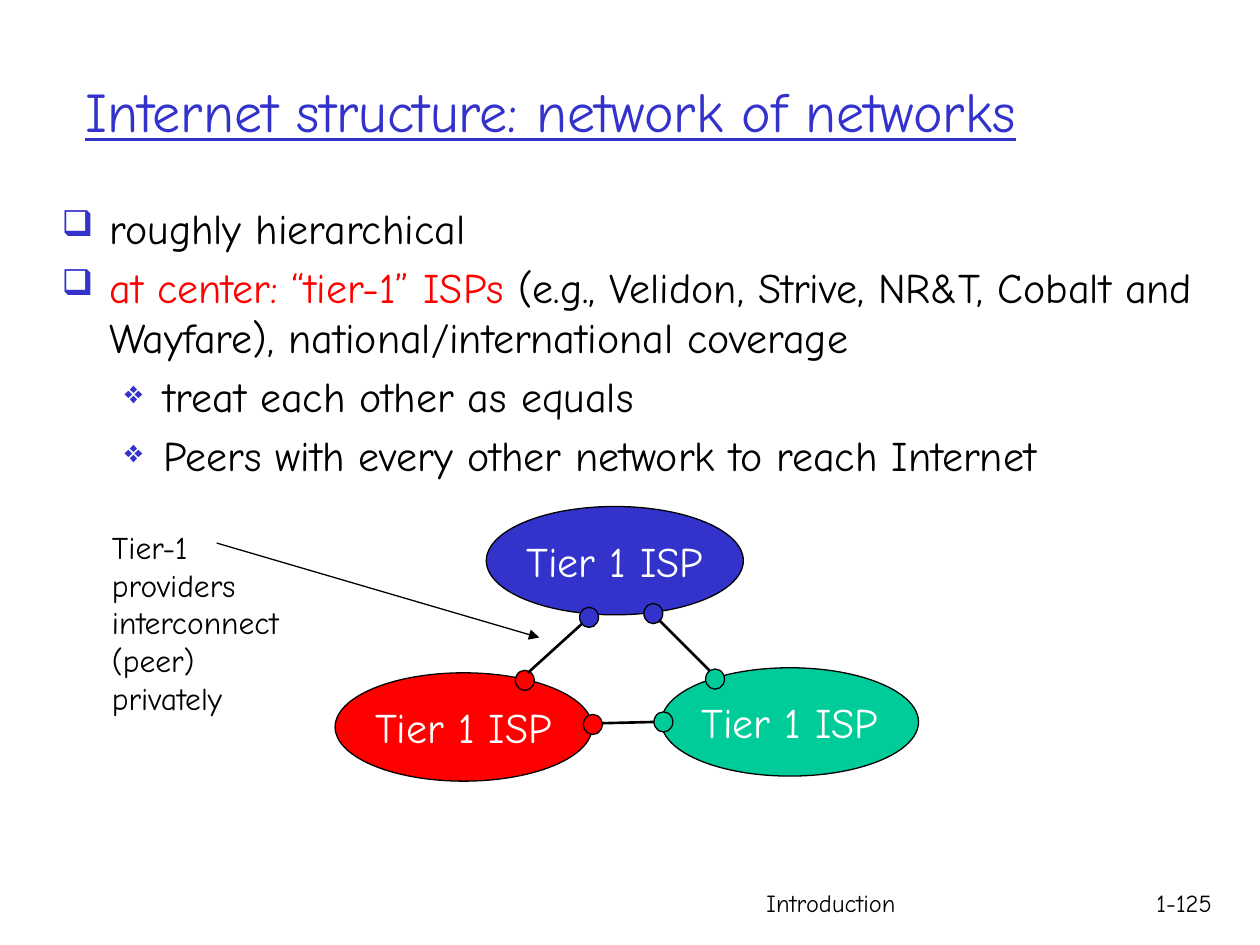
"""Build a slide on how tier-1 providers form a network of networks."""
from lxml import etree
from pptx import Presentation
from pptx import util as u
from pptx.dml.color import RGBColor
from pptx.enum import shapes, text
from pptx.oxml.ns import qn

BLACK = RGBColor(0x00, 0x00, 0x00)
WHITE = RGBColor(0xFF, 0xFF, 0xFF)
BLUE = RGBColor(0x33, 0x33, 0xCC)
RED = RGBColor(0xFF, 0x00, 0x00)
GREEN = RGBColor(0x00, 0xCC, 0x99)
FONT = "Comic Neue"
COLS, ROWS = 100, 75


def add_run(p, words, size=24, color=BLACK, underline=None):
    """Add formatted words to a paragraph."""
    r = p.add_run()
    r.text = words
    r.font.name = FONT
    r.font.size = u.Pt(size)
    r.font.color.rgb = color
    r.font.underline = underline


class Deck:
    """Hold the style and the current slide, placing elements on a grid."""

    def __init__(self, prs):
        """Start a blank slide."""
        self.col = prs.slide_width / COLS
        self.row = prs.slide_height / ROWS
        self.slide = prs.slides.add_slide(prs.slide_layouts[6])

    def place(self, *lengths):
        """Turn alternating columns and rows into slide units."""
        return [round(n * (self.row if i % 2 else self.col))
                for i, n in enumerate(lengths)]

    def box(self, at, anchor=text.MSO_ANCHOR.TOP):
        """Add an empty wrapping text box and return its frame."""
        tf = self.slide.shapes.add_textbox(*self.place(*at)).text_frame
        tf.word_wrap = True
        tf.vertical_anchor = anchor
        return tf

    def label(self, at, words, anchor=text.MSO_ANCHOR.TOP, **style):
        """Add a text box with one paragraph."""
        add_run(self.box(at, anchor).paragraphs[0], words, **style)

    def bullets(self, at, items):
        """Add a bulleted list of (level, runs) items."""
        tf = self.box(at)
        marks = (("❑", 85, 0.38, 0.38), ("❖", 75, 0.81, 0.31))
        for i, (level, runs) in enumerate(items):
            char, percent, margin, hang = marks[level]
            p = tf.add_paragraph() if i else tf.paragraphs[0]
            p.level = level
            p.space_before = u.Pt(4.8)
            pPr = p._p.get_or_add_pPr()
            pPr.set("marL", str(u.Inches(margin)))
            pPr.set("indent", str(-u.Inches(hang)))
            clr = etree.SubElement(pPr, qn("a:buClr"))
            etree.SubElement(clr, qn("a:srgbClr"), val=str(BLUE))
            etree.SubElement(pPr, qn("a:buSzPct"), val=str(percent * 1000))
            etree.SubElement(pPr, qn("a:buChar"), char=char)
            for words, color in runs:
                add_run(p, words, color=color)

    def ellipse(self, at, fill, words=None):
        """Add an outlined ellipse, with centred words if given."""
        sp = self.slide.shapes.add_shape(
            shapes.MSO_SHAPE.OVAL, *self.place(*at))
        sp.shadow.inherit = False
        sp.fill.solid()
        sp.fill.fore_color.rgb = fill
        sp.line.color.rgb = BLACK
        sp.line.width = u.Pt(0.75)
        if words:
            tf = sp.text_frame
            tf.word_wrap = False
            tf.vertical_anchor = text.MSO_ANCHOR.MIDDLE
            p = tf.paragraphs[0]
            p.alignment = text.PP_ALIGN.CENTER
            add_run(p, words, color=WHITE)

    def line(self, ends, width=1.5, arrow=False):
        """Add a straight line, with an arrowhead at its end if asked."""
        sp = self.slide.shapes.add_connector(
            shapes.MSO_CONNECTOR.STRAIGHT, *self.place(*ends))
        sp.line.color.rgb = BLACK
        sp.line.width = u.Pt(width)
        if arrow:
            etree.SubElement(sp.line._get_or_add_ln(), qn("a:tailEnd"),
                             type="triangle")
        etree.SubElement(sp._element.spPr, qn("a:effectLst"))


def main():
    """Build and save the slide."""
    prs = Presentation()
    prs.slide_width, prs.slide_height = u.Inches(10), u.Inches(7.5)
    deck = Deck(prs)

    deck.label((59.2, 70, 31.7, 5), " Introduction", size=14)
    deck.label((90.8, 70, 6.8, 5), "1-125", size=14)
    deck.label((5.8, 2.5, 88.5, 12.5),
               "Internet structure: network of networks",
               anchor=text.MSO_ANCHOR.MIDDLE, size=32, color=BLUE,
               underline=True)
    deck.bullets((3.9, 15.6, 92.3, 50.8), [
        (0, [("roughly hierarchical", BLACK)]),
        (0, [("at center: “tier-1” ISPs ", RED),
             ("(e.g., Velidon, Strive, NR&T, Cobalt and Wayfare), "
              "national/international coverage", BLACK)]),
        (1, [("treat each other as equals", BLACK)]),
        (1, [("Peers with every other network to reach Internet", BLACK)]),
    ])

    providers = [
        (RED, (26.6, 53.4), [(40.9, 53.2), (46.3, 56.7)]),
        (BLUE, (38.6, 40.2), [(51.1, 47.9), (46, 48.2)]),
        (GREEN, (52.5, 53), [(56, 53.1), (51.9, 56.5)]),
    ]
    for color, corner, _ in providers:
        deck.ellipse((*corner, 20.4, 8.6), color, "Tier 1 ISP")
    for color, _, ports in providers:
        for port in ports:
            deck.ellipse((*port, 1.5, 1.6), color)
    for link in ((47.8, 57.4, 51.9, 57.3),
                 (52.3, 49.2, 56.3, 53.2),
                 (41.9, 53.4, 46.2, 49.5)):
        deck.line(link)

    deck.label((7.9, 41.4, 17.1, 16),
               "Tier-1 providers interconnect (peer) privately", size=18)
    deck.line((17.2, 43.1, 42.8, 50.6), width=0.75, arrow=True)
    prs.save("out.pptx")


if __name__ == "__main__":
    main()
